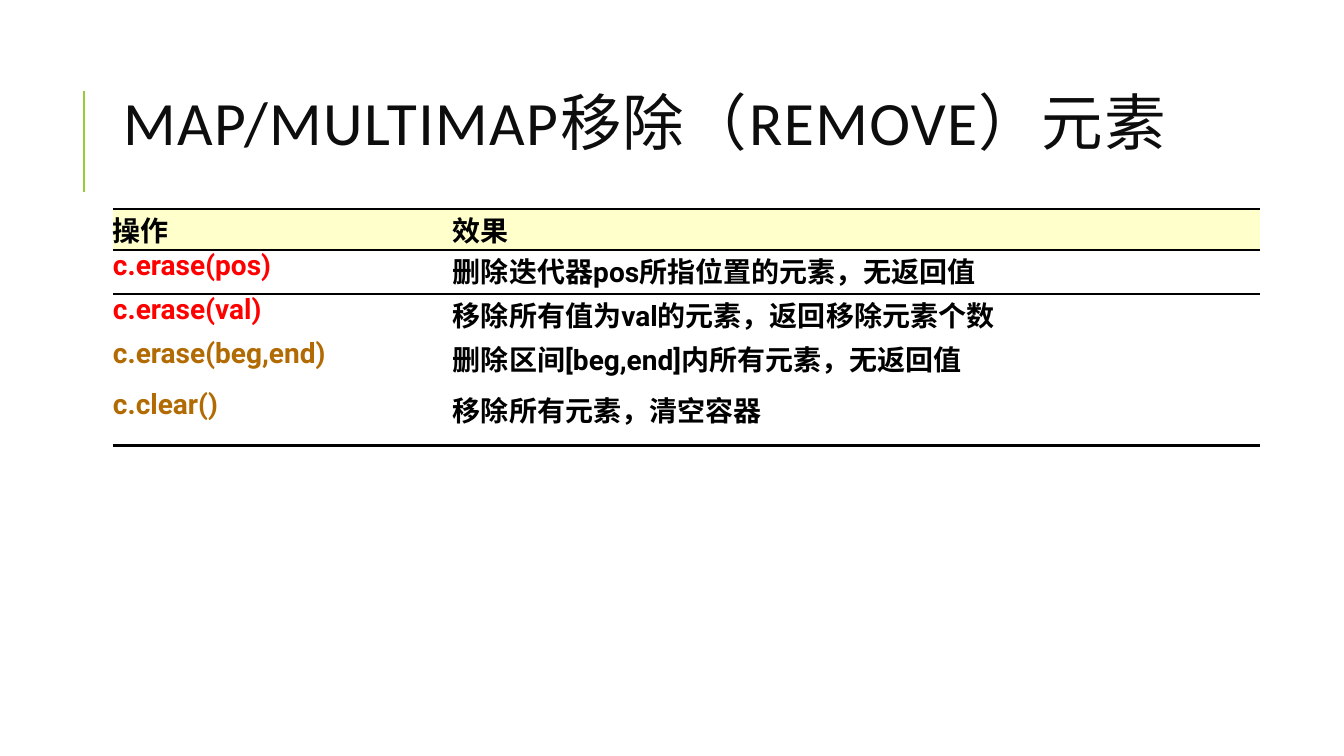
from lxml.etree import SubElement
from pptx import Presentation
from pptx.dml.color import RGBColor
from pptx.enum.shapes import MSO_CONNECTOR
from pptx.enum.text import MSO_ANCHOR, MSO_AUTO_SIZE, PP_ALIGN
from pptx.oxml import parse_xml
from pptx.oxml.ns import nsdecls, qn
from pptx.util import Emu, Pt

PX_PER_INCH = 100.8
BLACK = RGBColor(0x00, 0x00, 0x00)
INK = RGBColor(0x0D, 0x0D, 0x0D)
GREEN = RGBColor(0x99, 0xCB, 0x38)
CREAM = RGBColor(0xFF, 0xFF, 0xCC)
RED = RGBColor(0xFF, 0x00, 0x00)
BROWN = RGBColor(0xB2, 0x6B, 0x02)
NO_GRID_STYLE = "{2D5ABB26-0587-4C30-8999-92F81FD0307C}"

TITLE = "MAP/MULTIMAP移除（REMOVE）元素"
COLUMN_WIDTHS = (340, 807)
# Row height, operation, effect, colour of the operation
ROWS = (
    (36, "操作", "效果", BLACK),
    (44, "c.erase(pos)", "删除迭代器pos所指位置的元素，无返回值", RED),
    (44, "c.erase(val)", "移除所有值为val的元素，返回移除元素个数", RED),
    (51, "c.erase(beg,end)", "删除区间[beg,end]内所有元素，无返回值", BROWN),
    (57, "c.clear()", "移除所有元素，清空容器", BROWN),
)


def px(length):
    return Emu(round(length * 914400 / PX_PER_INCH))


def set_font(font, name, size, color, bold=False):
    font.name, font.size, font.bold = name, Pt(size), bold
    font.color.rgb = color


def add_accent(page, left, top, height):
    line = page.shapes.add_connector(
        MSO_CONNECTOR.STRAIGHT, px(left), px(top + height), px(left), px(top))
    line.line.color.rgb = GREEN
    line.line.width = Pt(1.5)
    SubElement(line._element.spPr, qn("a:effectLst"))


def add_title(page, left, top, width, height):
    box = page.shapes.title
    box.left, box.top, box.width, box.height = map(px, (left, top, width, height))
    frame = box.text_frame
    frame.word_wrap = True
    frame.auto_size = MSO_AUTO_SIZE.NONE
    frame.vertical_anchor = MSO_ANCHOR.MIDDLE
    para = frame.paragraphs[0]
    span = para.add_run()
    span.text = TITLE
    span._r.get_or_add_rPr().set("spc", "100")
    para.alignment = PP_ALIGN.LEFT
    para.line_spacing = 0.8
    set_font(para.font, "Calibri", 44, INK)


def set_border(cell, side, width):
    border = parse_xml(
        f'<a:{side} {nsdecls("a")} w="{Pt(width)}"><a:solidFill>'
        f'<a:srgbClr val="{BLACK}"/></a:solidFill></a:{side}>')
    cell._tc.get_or_add_tcPr().insert(0, border)


def fill_cell(cell, text, color):
    cell.margin_left = cell.margin_right = cell.margin_top = cell.margin_bottom = 0
    para = cell.text_frame.paragraphs[0]
    para.text = text
    set_font(para.font, "Roboto", 20, color, bold=True)
    cell.fill.background()


def add_operations(page, left, top):
    heights = [row[0] for row in ROWS]
    frame = page.shapes.add_table(
        len(ROWS), len(COLUMN_WIDTHS), px(left), px(top),
        px(sum(COLUMN_WIDTHS)), px(sum(heights)))
    table = frame.table
    table.first_row = table.horz_banding = False
    table._tbl.tblPr.find(qn("a:tableStyleId")).text = NO_GRID_STYLE
    for column, width in zip(table.columns, COLUMN_WIDTHS):
        column.width = px(width)
    for index, (height, operation, effect, color) in enumerate(ROWS):
        table.rows[index].height = px(height)
        fill_cell(table.cell(index, 0), operation, color)
        fill_cell(table.cell(index, 1), effect, BLACK)

    # Header band and horizontal rules
    for column in range(len(COLUMN_WIDTHS)):
        header = table.cell(0, column)
        header.fill.solid()
        header.fill.fore_color.rgb = CREAM
        set_border(header, "lnB", 1.5)
        set_border(header, "lnT", 2.25)
        set_border(table.cell(1, column), "lnT", 1.5)
        set_border(table.cell(len(ROWS) - 1, column), "lnB", 2.25)


def main():
    deck = Presentation()
    deck.slide_width, deck.slide_height = px(1344), px(756)
    page = deck.slides.add_slide(deck.slide_layouts[5])
    add_accent(page, 84, 91, 101)
    add_title(page, 113, 65, 1072, 126)
    add_operations(page, 113, 209)
    deck.save("out.pptx")


if __name__ == "__main__":
    main()
